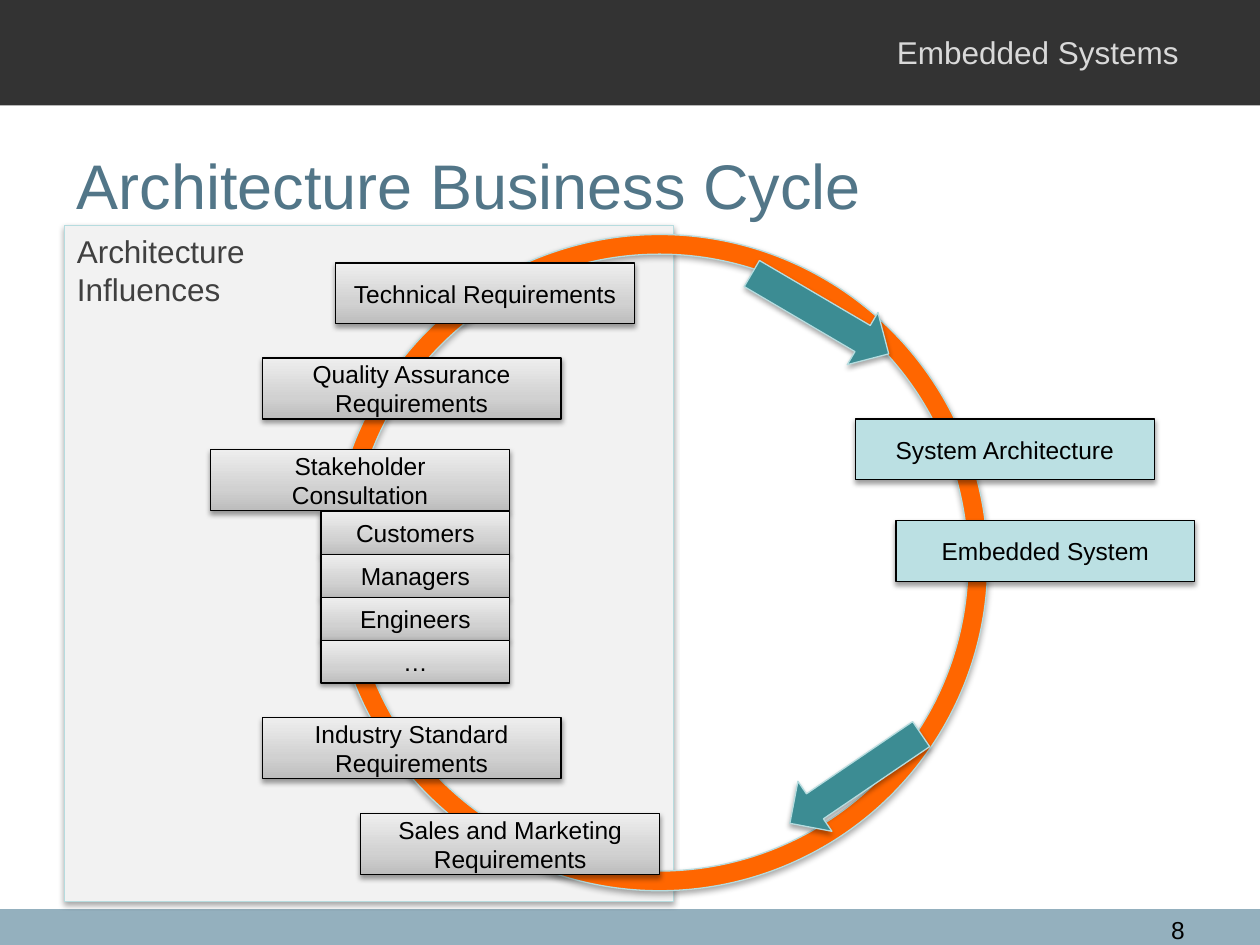
from collections import namedtuple
from dataclasses import dataclass

from lxml.etree import SubElement
from pptx import Presentation
from pptx.dml.color import RGBColor
from pptx.enum.shapes import MSO_SHAPE as Shape
from pptx.enum.text import MSO_ANCHOR as Anchor, PP_ALIGN as Align
from pptx.oxml.ns import qn
from pptx.util import Pt

Box = namedtuple("Box", "left top width height")


@dataclass(frozen=True)
class Theme:
    font: str = "Arial"
    band: str = "333333"
    footer: str = "94B0BE"
    course: str = "D9D9D9"
    title: str = "527688"
    panel: str = "F2F2F2"
    panel_text: str = "404040"
    edge: str = "B6DCDF"
    ring: str = "FF6600"
    arrow: str = "3C8C93"
    outcome: str = "BBE0E3"
    ink: str = "000000"
    gradient: tuple = ((0, "BDBDBD"), (35, "D1D1D1"), (100, "EEEEEE"))
    title_size: int = 36
    heading_size: int = 18
    label_size: int = 14


THEME = Theme()
LABEL_WIDTH, LABEL_HEIGHT = 170.8, 34.8


def inside(box, left, top, width, height):
    return Box(box.left + left, box.top + top, width, height)


def points(box):
    return [Pt(length) for length in box]


def write(frame, lines, size, color, align=Align.LEFT, anchor=Anchor.TOP):
    frame.vertical_anchor = anchor
    for index, line in enumerate(lines):
        para = frame.add_paragraph() if index else frame.paragraphs[0]
        para.alignment = align
        span = para.add_run()
        span.text = line
        span.font.name = THEME.font
        span.font.size = Pt(size)
        span.font.color.rgb = RGBColor.from_string(color)


def add_gradient(shape):
    shape.fill.gradient()
    gradient = shape.element.spPr.find(qn("a:gradFill"))
    for child in list(gradient):
        gradient.remove(child)
    stops = SubElement(gradient, qn("a:gsLst"))
    for position, color in THEME.gradient:
        stop = SubElement(stops, qn("a:gs"), pos=str(position * 1000))
        SubElement(stop, qn("a:srgbClr"), val=color)
    SubElement(gradient, qn("a:lin"), ang="16200000", scaled="0")


def add_shadow(shape, distance, opacity):
    effects = shape.element.spPr.find(qn("a:effectLst"))
    shadow = SubElement(effects, qn("a:outerShdw"), blurRad=str(Pt(3.1)),
                        dist=str(Pt(distance)), dir="5400000", rotWithShape="0")
    color = SubElement(shadow, qn("a:srgbClr"), val=THEME.ink)
    SubElement(color, qn("a:alpha"), val=str(opacity * 1000))


def add_figure(page, kind, box, fill=None, line=None):
    shape = page.shapes.add_shape(kind, *points(box))
    if fill:
        shape.fill.solid()
        shape.fill.fore_color.rgb = RGBColor.from_string(fill)
    else:
        add_gradient(shape)
    if line:
        shape.line.color.rgb = RGBColor.from_string(line)
        shape.line.width = Pt(0.75)
    else:
        shape.line.fill.background()
    shape.shadow.inherit = False
    return shape


def add_edged(page, kind, box, fill):
    shape = add_figure(page, kind, box, fill, THEME.edge)
    add_shadow(shape, 1.8, 35)
    return shape


def add_label(page, box, text, fill=None):
    shape = add_figure(page, Shape.RECTANGLE, box, fill, THEME.ink)
    add_shadow(shape, 1.6, 38)
    shape.text_frame.word_wrap = True
    write(shape.text_frame, [text], THEME.label_size, THEME.ink,
          Align.CENTER, Anchor.MIDDLE)


def add_header(page, box):
    add_figure(page, Shape.RECTANGLE, box, THEME.band)
    course = page.shapes.add_textbox(*points(inside(box, 505.4, 15.1, 180, 29)))
    write(course.text_frame, ["Embedded Systems"], THEME.heading_size, THEME.course)


def add_footer(page, box):
    add_figure(page, Shape.RECTANGLE, box, THEME.footer)
    number = page.shapes.add_textbox(*points(inside(box, 638, 0, 46, 17.3)))
    number.text_frame.word_wrap = True
    write(number.text_frame, ["8"], THEME.label_size, THEME.ink, Align.RIGHT)


def add_title(page, box):
    title = page.shapes.title
    title.left, title.top, title.width, title.height = points(box)
    write(title.text_frame, ["Architecture Business Cycle"], THEME.title_size,
          THEME.title, anchor=Anchor.MIDDLE)


def add_panel(page, box):
    panel = add_edged(page, Shape.RECTANGLE, box, THEME.panel)
    write(panel.text_frame, ["Architecture", "Influences"], THEME.heading_size,
          THEME.panel_text)


def add_ring(page, box):
    ring = add_edged(page, Shape.DONUT, box, THEME.ring)
    ring.adjustments[0] = 0.03


def add_influences(page, box):
    for left, top, text in (
        (169.4, 336, "Sales and Marketing Requirements"),
        (113, 281, "Industry Standard Requirements"),
        (83.6, 127.9, "Stakeholder Consultation"),
        (113, 75.6, "Quality Assurance Requirements"),
        (155, 21.3, "Technical Requirements"),
    ):
        add_label(page, inside(box, left, top, LABEL_WIDTH, LABEL_HEIGHT), text)
    row = 24.5
    for index, text in enumerate(("Customers", "Managers", "Engineers", "…")):
        add_label(page, inside(box, 146.6, 163.4 + index * row, 108, row), text)


def add_outcomes(page, box):
    for left, top, text in (
        (299.4, 105.4, "System Architecture"),
        (322.6, 163.4, "Embedded System"),
    ):
        add_label(page, inside(box, left, top, LABEL_WIDTH, LABEL_HEIGHT), text,
                  THEME.outcome)


def add_arrows(page, box):
    for left, top, angle in ((234, 28, 30.4), (254.1, 293.7, 145.8)):
        arrow = add_edged(page, Shape.RIGHT_ARROW,
                          inside(box, left, top, 90.7, 34.6), THEME.arrow)
        arrow.rotation = angle


def main():
    deck = Presentation()
    deck.slide_width, deck.slide_height = Pt(720), Pt(540)
    page = deck.slides.add_slide(deck.slide_layouts[5])
    panel = Box(36.8, 129, 348, 386)
    ring = Box(189.4, 134, 375, 375)
    add_footer(page, Box(0, 519.6, 720, 20.4))
    add_header(page, Box(0, 0, 720, 60.3))
    add_title(page, Box(36.8, 60.5, 648, 90))
    add_panel(page, panel)
    add_ring(page, ring)
    add_outcomes(page, ring)
    add_influences(page, panel)
    add_arrows(page, ring)
    deck.save("out.pptx")


if __name__ == "__main__":
    main()
